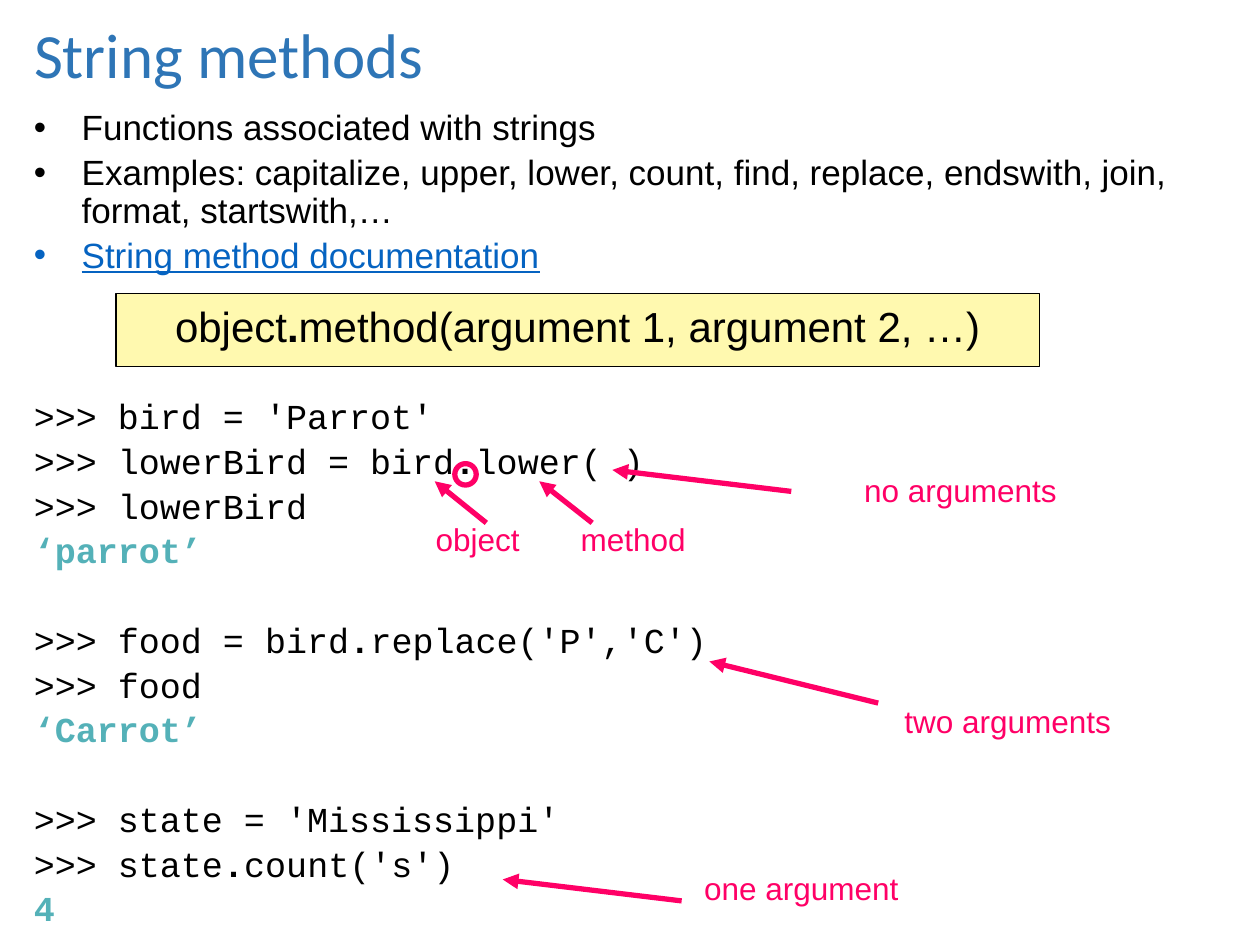
from lxml import etree
from pptx import Presentation
from pptx import util as u
from pptx.dml.color import RGBColor
from pptx.enum import shapes, text
from pptx.oxml.ns import qn

BLACK = RGBColor(0x00, 0x00, 0x00)
TITLE_BLUE = RGBColor(0x2E, 0x75, 0xB6)
LINK_BLUE = RGBColor(0x05, 0x63, 0xC1)
OUTPUT_TEAL = RGBColor(0x54, 0xB1, 0xB8)
PINK = RGBColor(0xFF, 0x00, 0x66)
YELLOW = RGBColor(0xFF, 0xF9, 0xAF)
BODY_FONT, CODE_FONT = "Arial", "Courier New"

BULLETS = [
    "Functions associated with strings",
    "Examples: capitalize, upper, lower, count, find, replace, endswith, join, "
    "format, startswith,…",
    "String method documentation",
]
# Each session: typed lines as (before the dot, after the dot), then the output
SESSIONS = [
    ([("bird = 'Parrot'",), ("lowerBird = bird", "lower( )"), ("lowerBird",)], "‘parrot’"),
    ([("food = bird", "replace('P','C')"), ("food",)], "‘Carrot’"),
    ([("state = 'Mississippi'",), ("state", "count('s')")], "4"),
]
LABELS = [
    ("no arguments", 6.76, 3.69, 1.8),
    ("two arguments", 7.08, 5.52, 1.9),
    ("one argument", 5.49, 6.85, 1.8),
    ("object", 3.36, 4.08, 1.0),
    ("method", 4.51, 4.08, 1.1),
]
ARROWS = [
    (6.28, 3.9, 4.86, 3.73),
    (6.97, 5.58, 5.63, 5.25),
    (5.41, 7.15, 3.99, 6.98),
    (3.86, 4.15, 3.45, 3.82),
    (4.7, 4.15, 4.28, 3.82),
]


class SlideBuilder:
    def __init__(self, slide):
        self.slide = slide

    def style(self, paragraph, size, color=BLACK, font=BODY_FONT):
        paragraph.font.name = font
        paragraph.font.size = u.Pt(size)
        paragraph.font.color.rgb = color

    def dotted(self, paragraph, parts):
        """Write the parts joined by a bold dot."""
        for index, part in enumerate(parts):
            if index:
                dot = paragraph.add_run()
                dot.text = "."
                dot.font.bold = True
            paragraph.add_run().text = part

    def title(self, words, left, top, width, height):
        title = self.slide.shapes.title
        title.left, title.top = u.Inches(left), u.Inches(top)
        title.width, title.height = u.Inches(width), u.Inches(height)
        frame = title.text_frame
        frame.text = words
        frame.vertical_anchor = text.MSO_ANCHOR.MIDDLE
        frame.paragraphs[0].alignment = text.PP_ALIGN.LEFT
        self.style(frame.paragraphs[0], 36, TITLE_BLUE, "Calibri")

    def text_box(self, left, top, width, height):
        box = self.slide.shapes.add_textbox(
            u.Inches(left), u.Inches(top), u.Inches(width), u.Inches(height))
        box.text_frame.word_wrap = True
        return box.text_frame

    def body_line(self, frame, parts, space, color=BLACK, font=BODY_FONT, bullet=False):
        paragraph = frame.paragraphs[0]
        if paragraph.runs:
            paragraph = frame.add_paragraph()
            paragraph.space_before = u.Pt(space)
        paragraph.line_spacing = 0.9
        if bullet:
            properties = paragraph._p.get_or_add_pPr()
            properties.set("marL", str(u.Inches(0.38)))
            properties.set("indent", str(-u.Inches(0.38)))
            etree.SubElement(properties, qn("a:buFont")).set("typeface", BODY_FONT)
            etree.SubElement(properties, qn("a:buChar")).set("char", "•")
        self.dotted(paragraph, parts)
        self.style(paragraph, 20, color, font)
        return paragraph

    def shape(self, kind, left, top, width, height, line, weight, fill=None):
        shape = self.slide.shapes.add_shape(
            kind, u.Inches(left), u.Inches(top), u.Inches(width), u.Inches(height))
        shape.shadow.inherit = False
        if fill is None:
            shape.fill.background()
        else:
            shape.fill.solid()
            shape.fill.fore_color.rgb = fill
        shape.line.color.rgb = line
        shape.line.width = u.Pt(weight)
        return shape

    def label(self, words, left, top, width):
        paragraph = self.text_box(left, top, width, 0.4).paragraphs[0]
        paragraph.text = words
        self.style(paragraph, 18, PINK)

    def arrow(self, *ends):
        arrow = self.slide.shapes.add_connector(
            shapes.MSO_CONNECTOR.STRAIGHT, *[u.Inches(end) for end in ends])
        arrow.line.color.rgb = PINK
        arrow.line.width = u.Pt(3)
        etree.SubElement(arrow.line._get_or_add_ln(), qn("a:tailEnd")).set("type", "triangle")
        etree.SubElement(arrow._element.spPr, qn("a:effectLst"))


def main():
    presentation = Presentation()
    presentation.slide_width, presentation.slide_height = u.Inches(10), u.Inches(7.5)
    builder = SlideBuilder(presentation.slides.add_slide(presentation.slide_layouts[5]))

    builder.title("String methods", 0.17, 0.17, 8.75, 0.5)

    # Bullets, the last one styled as a link
    body = builder.text_box(0.17, 0.83, 9.5, 6.5)
    for words in BULLETS:
        paragraph = builder.body_line(body, [words], 4, bullet=True)
    paragraph.font.color.rgb = LINK_BLUE
    paragraph.font.underline = True

    # Interpreter sessions, the first one set below the syntax box
    for number, (typed, output) in enumerate(SESSIONS):
        space = 29.5 if number else 70.5
        for first, *rest in typed:
            builder.body_line(body, [">>> " + first, *rest], space, font=CODE_FONT)
            space = 4
        builder.body_line(body, [output], 4, OUTPUT_TEAL, CODE_FONT).font.bold = True

    # Syntax box
    syntax = builder.shape(
        shapes.MSO_SHAPE.RECTANGLE, 0.92, 2.33, 7.33, 0.58, BLACK, 0.75, YELLOW)
    syntax.text_frame.vertical_anchor = text.MSO_ANCHOR.MIDDLE
    paragraph = syntax.text_frame.paragraphs[0]
    paragraph.alignment = text.PP_ALIGN.CENTER
    paragraph.line_spacing = 0.8
    builder.dotted(paragraph, ["object", "method(argument 1, argument 2, …)"])
    builder.style(paragraph, 24)

    # Annotations
    for arrow in ARROWS:
        builder.arrow(*arrow)
    for label in LABELS:
        builder.label(*label)
    builder.shape(shapes.MSO_SHAPE.OVAL, 3.61, 3.68, 0.17, 0.17, PINK, 3)

    presentation.save("out.pptx")


if __name__ == "__main__":
    main()
